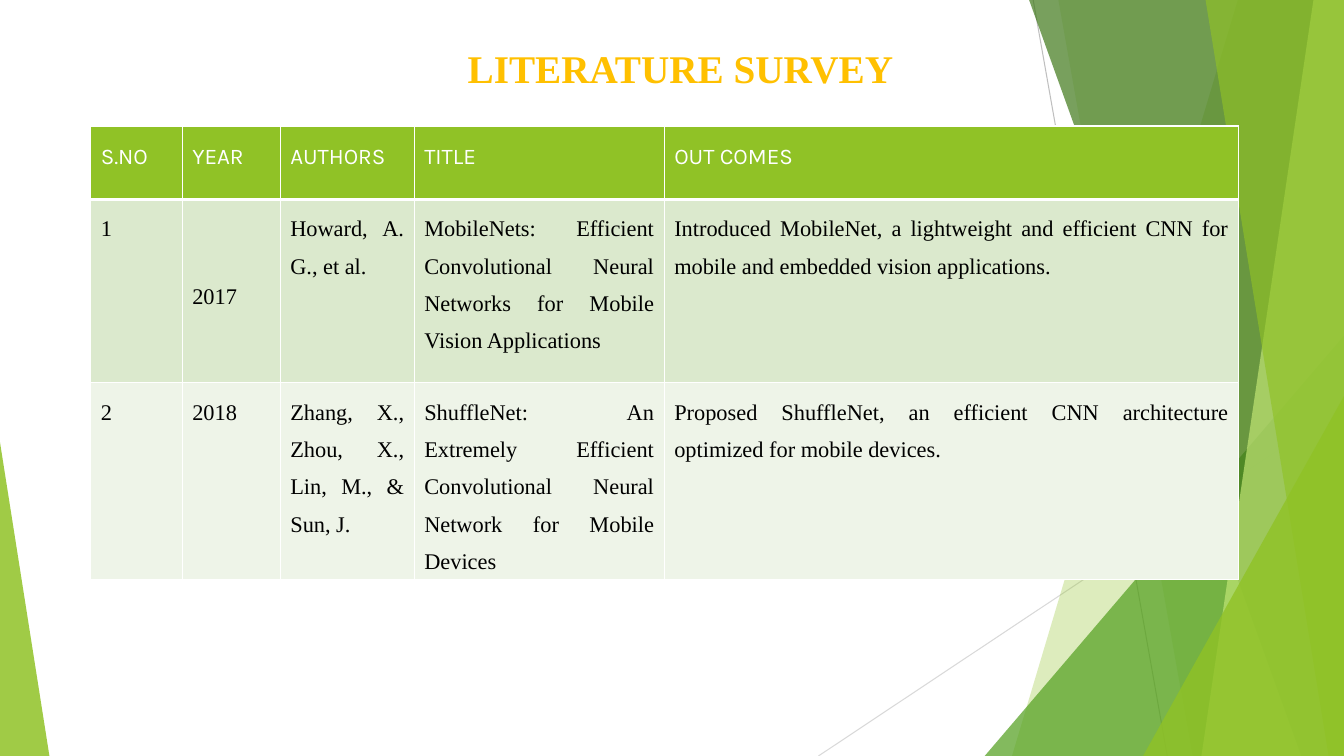
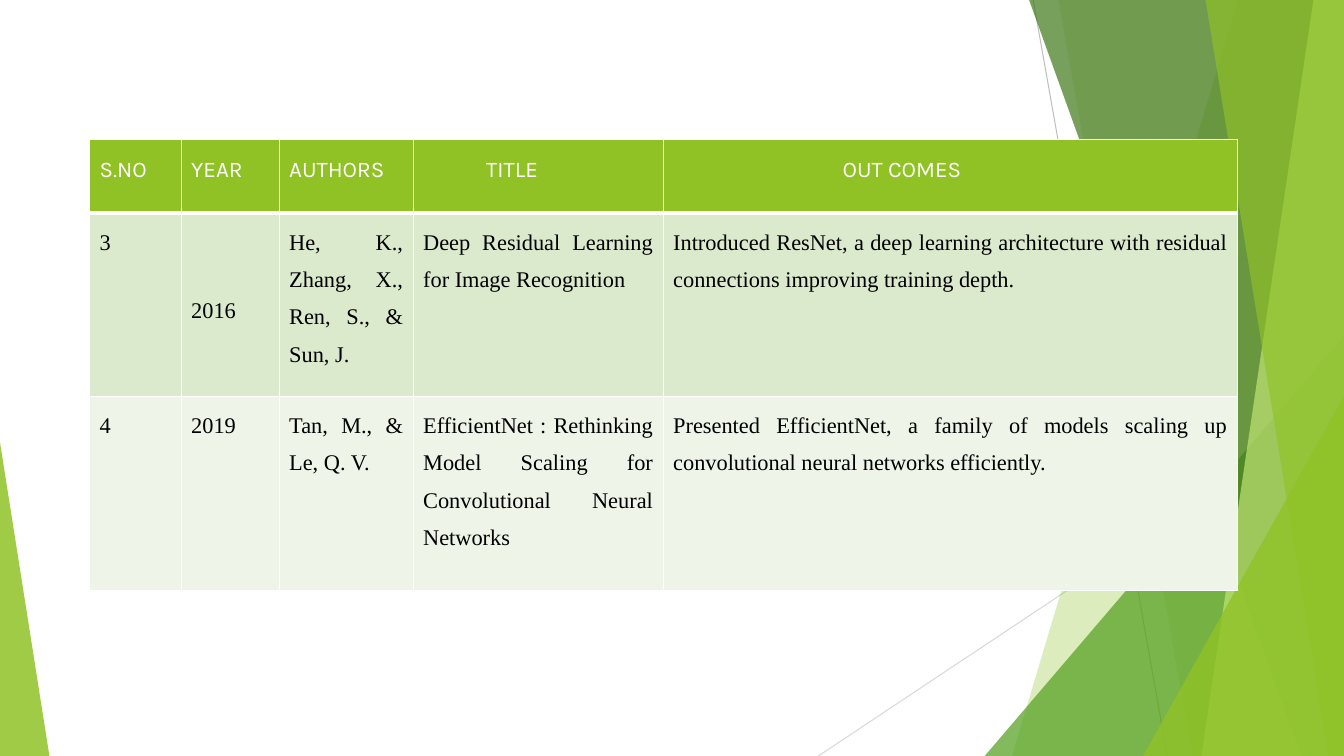
from dataclasses import dataclass

from pptx import Presentation
from pptx.dml.color import RGBColor
from pptx.enum.shapes import MSO_CONNECTOR, MSO_SHAPE
from pptx.enum.text import MSO_ANCHOR, MSO_AUTO_SIZE, PP_ALIGN
from pptx.oxml.ns import qn
from pptx.oxml.xmlchemy import OxmlElement
from pptx.presentation import Presentation as Deck
from pptx.shapes.autoshape import Shape
from pptx.shapes.connector import Connector
from pptx.slide import Slide
from pptx.table import _Cell as Cell
from pptx.text.text import _Paragraph as Paragraph
from pptx.util import Pt


@dataclass(frozen=True)
class Theme:
    lime: str = "90C226"
    green: str = "54A021"
    forest: str = "3F7819"
    pale_lime: str = "C0E474"
    band_dark: str = "DBE9CD"
    band_light: str = "EEF4E8"
    gold: str = "FFC000"
    white: str = "FFFFFF"
    black: str = "000000"
    ray_dark: str = "BFBFBF"
    ray_light: str = "D9D9D9"
    serif: str = "Times New Roman"
    sans: str = "Karla"
    title_size: float = 28
    table_size: float = 16


THEME = Theme()
WIDTH, HEIGHT = 960, 540


@dataclass(frozen=True)
class Ray:
    """A thin line across the backdrop."""
    start: tuple[float, float]
    end: tuple[float, float]
    colour: str


@dataclass(frozen=True)
class Facet:
    """A plane from a slanted left edge to the right edge of the slide."""
    top_x: float
    bottom_x: float
    colour: str
    opacity: int


@dataclass(frozen=True)
class Wedge:
    """A right triangle standing on the bottom edge; apex 0 left, 1 right."""
    left: float
    top: float
    width: float
    apex: int
    colour: str
    opacity: int


@dataclass(frozen=True)
class Paper:
    number: str
    year: str
    authors: str
    title: str
    outcome: str


@dataclass(frozen=True)
class Survey:
    left: float
    top: float
    header_indents: tuple[float, ...]
    papers: tuple[Paper, ...]
    heading: str = ""


BACKDROP = (
    Ray((738, 0), (833.8, HEIGHT), THEME.ray_dark),
    Ray((WIDTH, 290.2), (584.6, HEIGHT), THEME.ray_light),
    Facet(884.2, 722.9, THEME.lime, 30),
    Facet(756, 851.8, THEME.lime, 20),
    Wedge(703.4, 239.8, 256.6, 1, THEME.green, 72),
    Facet(735.1, 929.5, THEME.forest, 70),
    Facet(938.2, 858.2, THEME.pale_lime, 70),
    Facet(861.1, 949, THEME.lime, 65),
    Wedge(816.5, 283, 143.5, 1, THEME.lime, 80),
    Wedge(0, 316, 35.3, 0, THEME.lime, 85),
)

HEADERS = ("S.NO", "YEAR", "AUTHORS", "TITLE", "OUT COMES")
COLUMN_WIDTHS = (65.4, 70, 95.7, 178.6, 410.3)
ROW_HEIGHTS = (52.5, 131, 139)
THIN, THICK = 1, 3

SURVEYS = (
    Survey(64.8, 90, (0, 0, 0, 0, 0), (
        Paper("1", "2017", "Howard, A. G., et al.",
              "MobileNets: Efficient Convolutional Neural Networks for Mobile Vision Applications",
              "Introduced MobileNet, a lightweight and efficient CNN for mobile and embedded "
              "vision applications."),
        Paper("2", "2018", "Zhang, X., Zhou, X., Lin, M., & Sun, J.",
              "ShuffleNet: An Extremely Efficient Convolutional Neural Network for Mobile Devices",
              "Proposed ShuffleNet, an efficient CNN architecture optimized for mobile devices."),
    ), "LITERATURE SURVEY"),
    Survey(64, 99.5, (0, 0, 0, 45, 121), (
        Paper("3", "2016", "He, K., Zhang, X., Ren, S., & Sun, J.",
              "Deep Residual Learning for Image Recognition",
              "Introduced ResNet, a deep learning architecture with residual connections "
              "improving training depth."),
        Paper("4", "2019", "Tan, M., & Le, Q. V.",
              "EfficientNet : Rethinking Model Scaling for Convolutional Neural Networks",
              "Presented EfficientNet, a family of models scaling up convolutional neural "
              "networks efficiently."),
    )),
)


def rgb(colour: str) -> RGBColor:
    return RGBColor.from_string(colour)


# Backdrop
def paint(shape: Shape, colour: str, opacity: int) -> Shape:
    shape.shadow.inherit = False
    shape.line.fill.background()
    shape.fill.solid()
    shape.fill.fore_color.rgb = rgb(colour)
    alpha = OxmlElement("a:alpha")
    alpha.set("val", str(opacity * 1000))
    shape.element.spPr.find(".//" + qn("a:srgbClr")).append(alpha)
    return shape


def draw_ray(slide: Slide, ray: Ray) -> Connector:
    ends = [Pt(value) for value in (*ray.start, *ray.end)]
    line = slide.shapes.add_connector(MSO_CONNECTOR.STRAIGHT, *ends)
    line.line.width = Pt(0.75)
    line.line.color.rgb = rgb(ray.colour)
    line.element.spPr.append(OxmlElement("a:effectLst"))
    return line


def draw_facet(slide: Slide, facet: Facet) -> Shape:
    outline = slide.shapes.build_freeform(Pt(facet.top_x), Pt(0))
    corners = ((WIDTH, 0), (WIDTH, HEIGHT), (facet.bottom_x, HEIGHT))
    outline.add_line_segments([(Pt(x), Pt(y)) for x, y in corners], close=True)
    return paint(outline.convert_to_shape(), facet.colour, facet.opacity)


def draw_wedge(slide: Slide, wedge: Wedge) -> Shape:
    triangle = slide.shapes.add_shape(
        MSO_SHAPE.ISOSCELES_TRIANGLE, Pt(wedge.left), Pt(wedge.top),
        Pt(wedge.width), Pt(HEIGHT - wedge.top))
    triangle.adjustments[0] = wedge.apex
    return paint(triangle, wedge.colour, wedge.opacity)


def move_backdrop_to_master(deck: Deck, slide: Slide) -> None:
    """Draw the backdrop once and hand it to the master for every slide."""
    painters = {Ray: draw_ray, Facet: draw_facet, Wedge: draw_wedge}
    master_tree = deck.slide_master.shapes.element
    for order, part in enumerate(BACKDROP):
        element = painters[type(part)](slide, part).element
        element.find(".//" + qn("p:cNvPr")).set("id", str(100 + order))
        master_tree.insert(2 + order, element)


# Text
def write(paragraph: Paragraph, text: str, font: str, size: float, colour: str,
          spacing: float, align: PP_ALIGN, indent: float = 0, bold: bool = False) -> None:
    paragraph.alignment = align
    paragraph.line_spacing = spacing
    if indent:
        properties = paragraph._p.get_or_add_pPr()
        properties.set("marL", str(Pt(indent)))
        properties.set("indent", "0")
    run = paragraph.add_run()
    run.text = text
    run.font.name = font
    run.font.size = Pt(size)
    run.font.bold = bold
    run.font.color.rgb = rgb(colour)


def place_heading(slide: Slide, heading: str) -> None:
    title = slide.shapes.title
    title.left, title.top, title.width, title.height = Pt(111.6), Pt(0), Pt(676.8), Pt(73.4)
    frame = title.text_frame
    frame.word_wrap = True
    frame.auto_size = MSO_AUTO_SIZE.NONE
    frame.vertical_anchor = MSO_ANCHOR.MIDDLE
    write(frame.paragraphs[0], heading, THEME.serif, THEME.title_size, THEME.gold,
          1.7, PP_ALIGN.CENTER, indent=72, bold=True)


# Table
def style_cell(cell: Cell, fill: str, top: float, bottom: float) -> None:
    properties = cell._tc.get_or_add_tcPr()
    for side, width in (("L", THIN), ("R", THIN), ("T", top), ("B", bottom)):
        border = OxmlElement(f"a:ln{side}")
        border.set("w", str(Pt(width)))
        solid, colour = OxmlElement("a:solidFill"), OxmlElement("a:srgbClr")
        colour.set("val", THEME.white)
        solid.append(colour)
        border.append(solid)
        properties.append(border)
    cell.fill.solid()
    cell.fill.fore_color.rgb = rgb(fill)


def add_survey_table(slide: Slide, survey: Survey) -> None:
    table = slide.shapes.add_table(
        len(ROW_HEIGHTS), len(COLUMN_WIDTHS), Pt(survey.left), Pt(survey.top),
        Pt(sum(COLUMN_WIDTHS)), Pt(sum(ROW_HEIGHTS))).table
    table.horz_banding = False
    for column, width in zip(table.columns, COLUMN_WIDTHS):
        column.width = Pt(width)
    for row, height in zip(table.rows, ROW_HEIGHTS):
        row.height = Pt(height)

    for column, (header, indent) in enumerate(zip(HEADERS, survey.header_indents)):
        cell = table.cell(0, column)
        style_cell(cell, THEME.lime, THIN, THICK)
        write(cell.text_frame.paragraphs[0], header, THEME.sans, THEME.table_size,
              THEME.white, 1.5, PP_ALIGN.LEFT, indent)

    bands = (THEME.band_dark, THEME.band_light)
    for row, (paper, band) in enumerate(zip(survey.papers, bands), start=1):
        entries = (paper.number, paper.year, paper.authors, paper.title, paper.outcome)
        for column, entry in enumerate(entries):
            cell = table.cell(row, column)
            style_cell(cell, band, THICK if row == 1 else THIN, THIN)
            write(cell.text_frame.paragraphs[0], entry, THEME.serif, THEME.table_size,
                  THEME.black, 1.5, PP_ALIGN.JUSTIFY)
    # The first year sits halfway down its row
    table.cell(1, HEADERS.index("YEAR")).vertical_anchor = MSO_ANCHOR.MIDDLE


def main() -> None:
    deck = Presentation()
    deck.slide_width, deck.slide_height = Pt(WIDTH), Pt(HEIGHT)
    title_only, blank = deck.slide_layouts[5], deck.slide_layouts[6]
    for order, survey in enumerate(SURVEYS):
        slide = deck.slides.add_slide(title_only if survey.heading else blank)
        if order == 0:
            move_backdrop_to_master(deck, slide)
        if survey.heading:
            place_heading(slide, survey.heading)
        add_survey_table(slide, survey)
    deck.save("out.pptx")


if __name__ == "__main__":
    main()
